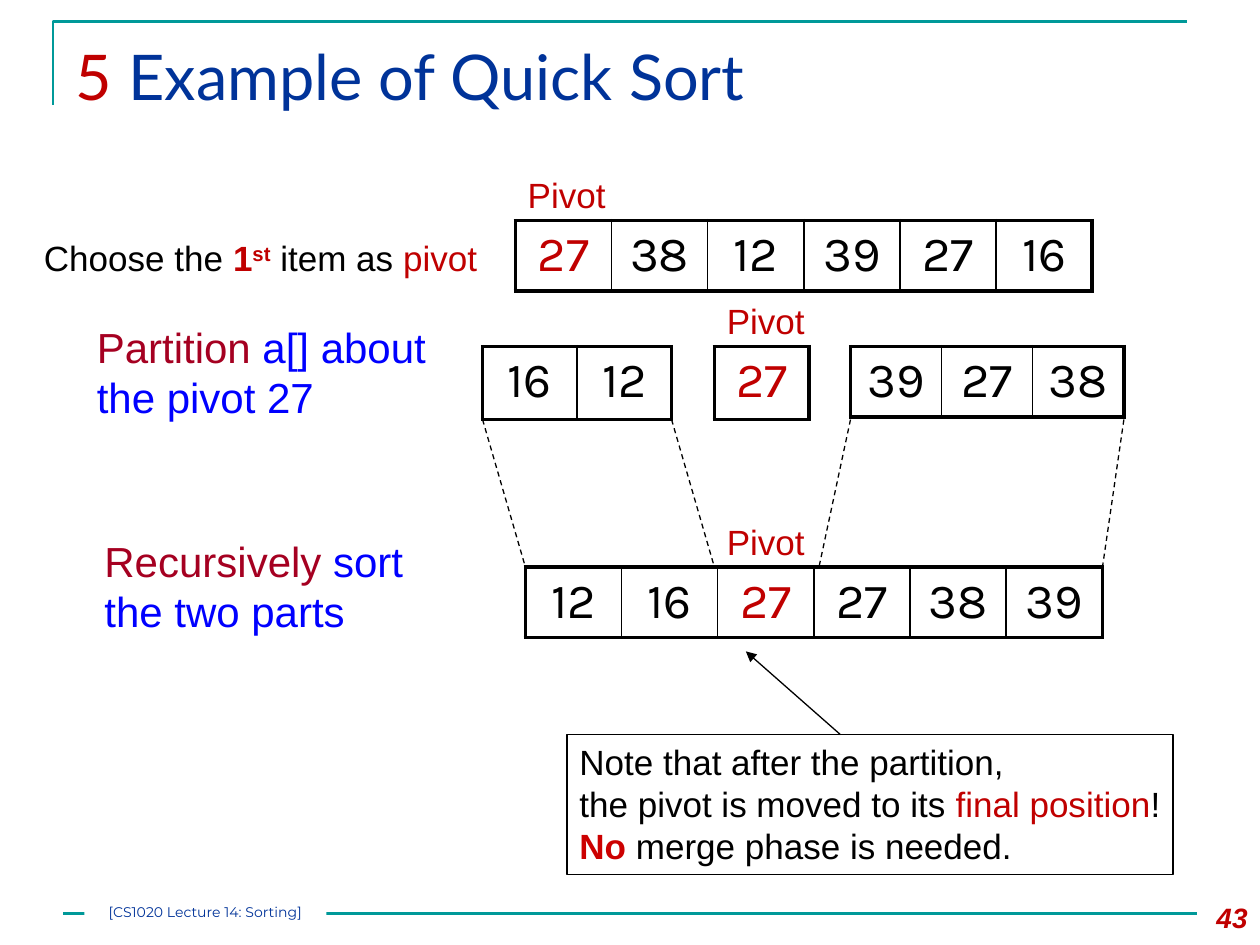
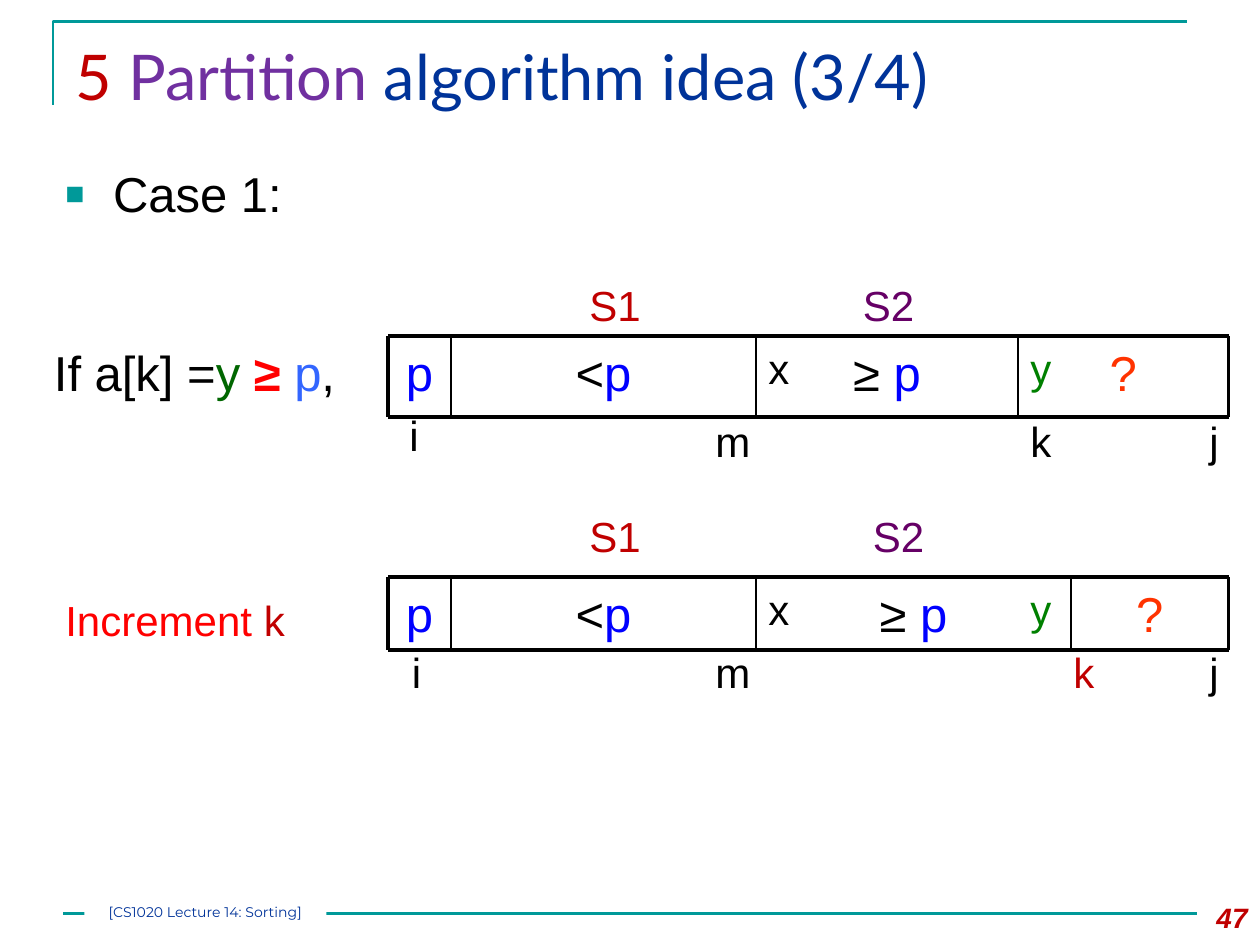
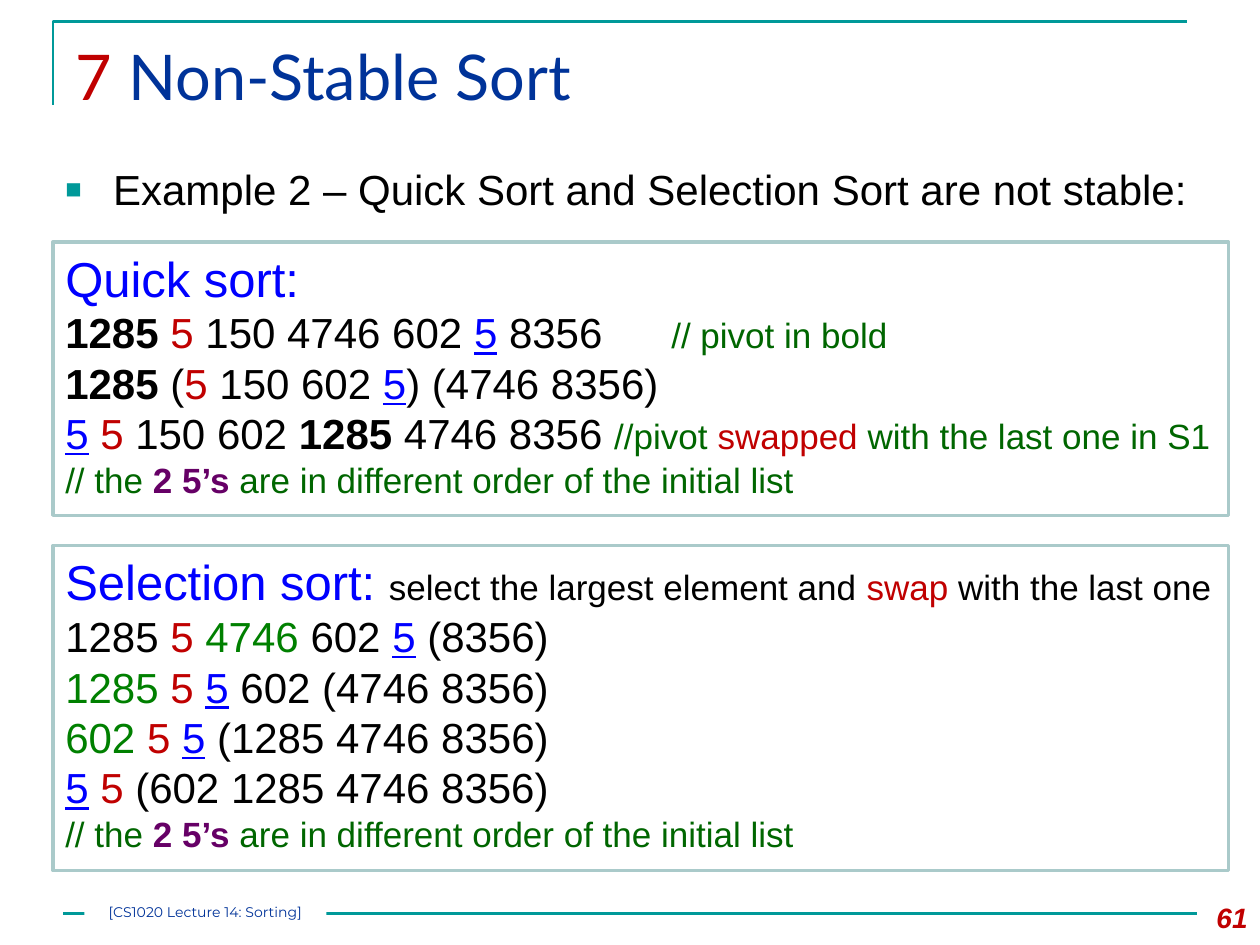
from dataclasses import dataclass
from itertools import pairwise
from typing import Any, NamedTuple

from lxml import etree
from pptx import Presentation
from pptx.dml.color import RGBColor
from pptx.enum.dml import MSO_LINE
from pptx.enum.shapes import MSO_CONNECTOR, MSO_SHAPE
from pptx.enum.text import MSO_ANCHOR, MSO_AUTO_SIZE, PP_ALIGN
from pptx.oxml import parse_xml
from pptx.oxml.ns import nsdecls, qn
from pptx.util import Inches, Pt

RECT = MSO_SHAPE.RECTANGLE
STRAIGHT = MSO_CONNECTOR.STRAIGHT
DASH = MSO_LINE.DASH
TOP = MSO_ANCHOR.TOP
LEFT, MID, RIGHT = PP_ALIGN.LEFT, PP_ALIGN.CENTER, PP_ALIGN.RIGHT
GROW, FIXED = MSO_AUTO_SIZE.SHAPE_TO_FIT_TEXT, MSO_AUTO_SIZE.NONE

BLACK = RGBColor(0x00, 0x00, 0x00)
WHITE = RGBColor(0xFF, 0xFF, 0xFF)
TEAL = RGBColor(0x00, 0x99, 0x99)
MIST = RGBColor(0xAA, 0xCA, 0xCA)
NAVY = RGBColor(0x00, 0x33, 0x99)
BLUE = RGBColor(0x00, 0x00, 0xFF)
SKY = RGBColor(0x33, 0x66, 0xFF)
DARK_RED = RGBColor(0xC0, 0x00, 0x00)
WINE = RGBColor(0xA5, 0x00, 0x21)
CRIMSON = RGBColor(0xCC, 0x00, 0x00)
RED = RGBColor(0xFF, 0x00, 0x00)
ORANGE = RGBColor(0xFF, 0x33, 0x00)
VIOLET = RGBColor(0x70, 0x30, 0xA0)
PLUM = RGBColor(0x66, 0x00, 0x66)
GREEN = RGBColor(0x00, 0x80, 0x00)
PINE = RGBColor(0x00, 0x66, 0x00)

BOLD = {"bold": True}
LINED = {"underline": True}
NOTE = {"size": Pt(20)}
HEAD = {"size": Pt(28)}
NO_PAD = {"margin_left": 0, "margin_right": 0, "margin_top": 0, "margin_bottom": 0}
FOOTER = "[CS1020 Lecture 14: Sorting]"


class Run(NamedTuple):
    text: str
    color: RGBColor = BLACK
    form: dict[str, Any] = {}
    raised: bool = False


class Box(NamedTuple):
    left: float
    top: float
    width: float
    height: float

    def place(self) -> tuple:
        return tuple(Inches(value) for value in self)


class Mark(NamedTuple):
    text: str
    left: float
    top: float
    width: float
    color: RGBColor = BLACK


@dataclass
class Array:
    """A row of number cells; pivot is the index of the red one."""
    box: Box
    items: list[int]
    pivot: int = -1


@dataclass
class Strip:
    """A partitioned array whose unknown part starts at cut."""
    top: float
    height: float
    cut: float
    marks: list[Mark]


Para = list[Run]


def apply(target: Any, form: dict[str, Any]) -> None:
    for name, value in form.items():
        setattr(target, name, value)


def write(frame: Any, paras: list[Para], size: float, font: str = "Arial",
          align: Any = LEFT) -> None:
    for index, runs in enumerate(paras):
        para = frame.add_paragraph() if index else frame.paragraphs[0]
        para.alignment = align
        for part in runs:
            run = para.add_run()
            run.text = part.text
            apply(run.font, {"name": font, "size": Pt(size), "bold": False} | part.form)
            run.font.color.rgb = part.color
            if part.raised:
                run.font._element.set("baseline", "30000")


def add_text(shapes: Any, box: Box, paras: list[Para], size: float,
             align: Any = LEFT, wrap: bool = True) -> Any:
    frame = shapes.add_textbox(*box.place()).text_frame
    apply(frame, {"word_wrap": wrap, "auto_size": FIXED if wrap else GROW,
                  "vertical_anchor": TOP})
    write(frame, paras, size, align=align)
    return frame


def add_panel(shapes: Any, box: Box, fill: RGBColor | None = WHITE,
              line: RGBColor | None = None, width: float = 2) -> Any:
    shape = shapes.add_shape(RECT, *box.place())
    shape.shadow.inherit = False
    if fill is None:
        shape.fill.background()
    else:
        shape.fill.solid()
        shape.fill.fore_color.rgb = fill
    if line is None:
        shape.line.fill.background()
    else:
        shape.line.color.rgb = line
        shape.line.width = Pt(width)
    apply(shape.text_frame, {"word_wrap": True, "vertical_anchor": TOP})
    return shape.text_frame


def add_line(shapes: Any, start: tuple[float, float], end: tuple[float, float],
             width: float, color: RGBColor = BLACK, dash: Any = None,
             arrow: bool = False) -> None:
    line = shapes.add_connector(STRAIGHT, *map(Inches, start + end))
    line.line.color.rgb = color
    line.line.width = Pt(width)
    if dash:
        line.line.dash_style = dash
    props = line._element.spPr
    if arrow:
        tip = etree.SubElement(props.find(qn("a:ln")), qn("a:tailEnd"))
        tip.set("type", "triangle")
    etree.SubElement(props, qn("a:effectLst"))


def add_point(shapes: Any, text: str, size: float) -> None:
    """Add the one bulleted line under the title."""
    frame = add_text(shapes, Box(0.42, 1.25, 9.33, 0.67), [[Run(text)]], size)
    props = frame.paragraphs[0]._p.get_or_add_pPr()
    props.set("marL", str(Inches(0.38)))
    props.set("indent", str(-Inches(0.38)))
    for xml in (f'<a:buClr {nsdecls("a")}><a:srgbClr val="{TEAL}"/></a:buClr>',
                f'<a:buSzPct {nsdecls("a")} val="65000"/>',
                f'<a:buFont {nsdecls("a")} typeface="Arial"/>',
                f'<a:buChar {nsdecls("a")} char="■"/>'):
        props.append(parse_xml(xml))


def add_tab(para: Any, place: float) -> None:
    para._p.get_or_add_pPr().append(parse_xml(
        f'<a:tabLst {nsdecls("a")}><a:tab pos="{Inches(place)}" algn="l"/></a:tabLst>'))


def add_border(cell: Any, side: str, width: float) -> None:
    cell._tc.get_or_add_tcPr().append(parse_xml(
        f'<a:ln{side} {nsdecls("a")} w="{Pt(width)}"><a:solidFill>'
        f'<a:srgbClr val="{BLACK}"/></a:solidFill></a:ln{side}>'))


def add_array(shapes: Any, array: Array) -> None:
    count = len(array.items)
    table = shapes.add_table(1, count, *array.box.place()).table
    apply(table, {"first_row": False, "horz_banding": False})
    table.rows[0].height = Inches(array.box.height)
    for index, item in enumerate(array.items):
        table.columns[index].width = Inches(array.box.width / count)
        cell = table.cell(0, index)
        add_border(cell, "L", 2.25 if index == 0 else 1)
        add_border(cell, "R", 2.25 if index == count - 1 else 1)
        add_border(cell, "T", 2.25)
        add_border(cell, "B", 2.25)
        cell.fill.background()
        color = DARK_RED if index == array.pivot else BLACK
        write(cell.text_frame, [[Run(str(item), color)]], 28, "Karla", MID)


def add_strip(shapes: Any, strip: Strip) -> None:
    low = strip.top + strip.height
    edges = [3.08, 3.58, 6, strip.cut, 9.75]
    parts = [[Run("p", BLUE)], [Run("<"), Run("p", BLUE)],
             [Run("≥ "), Run("p", BLUE)], [Run("?", ORANGE)]]
    for (left, right), runs in zip(pairwise(edges), parts):
        add_text(shapes, Box(left, strip.top, right - left, strip.height), [runs], 28, MID)
    for level in (strip.top, low):
        add_line(shapes, (edges[0], level), (edges[-1], level), 2.25)
    for edge in edges:
        width = 2.25 if edge in (edges[0], edges[-1]) else 1
        add_line(shapes, (edge, strip.top), (edge, low), width)
    shared = [Mark("x", 6, strip.top, 0.37), Mark("y", 8.08, strip.top, 0.37, GREEN)]
    for mark in shared + strip.marks:
        add_text(shapes, Box(mark.left, mark.top, mark.width, 0.5),
                 [[Run(mark.text, mark.color)]], 24, wrap=False)


def add_slide(deck: Any, title: Para, number: int) -> Any:
    """Add a slide with its title, corner rule, footer and number."""
    slide = deck.slides.add_slide(deck.slide_layouts[5])
    shapes = slide.shapes
    corner = shapes.build_freeform(Inches(0.42), Inches(0.83))
    corner.add_line_segments([(Inches(0.42), Inches(0.17)),
                              (Inches(9.42), Inches(0.17))], close=False)
    rule = corner.convert_to_shape()
    rule.shadow.inherit = False
    rule.fill.background()
    rule.line.color.rgb = TEAL
    rule.line.width = Pt(1.5)
    add_line(shapes, (0.5, 7.25), (9.5, 7.25), 1.5, TEAL)

    head = shapes.title
    spot = Box(0.5, 0.25, 9, 1).place()
    apply(head, dict(zip(("left", "top", "width", "height"), spot)))
    apply(head.text_frame, {"vertical_anchor": TOP, "auto_size": FIXED})
    write(head.text_frame, [title], 36, "Lato")

    form = BOLD | {"italic": True}
    add_text(shapes, Box(9.33, 7.1, 0.67, 0.4), [[Run(str(number), DARK_RED, form)]],
             16, RIGHT)
    frame = add_panel(shapes, Box(0.67, 7.17, 1.92, 0.17))
    apply(frame, NO_PAD)
    write(frame, [[Run(FOOTER, NAVY)]], 8, "Montserrat", MID)
    return shapes


def quick_slide(deck: Any) -> None:
    shapes = add_slide(deck, [Run("5 ", DARK_RED), Run("Example of Quick Sort", NAVY)], 43)
    for array in (Array(Box(4.09, 1.75, 4.58, 0.56), [27, 38, 12, 39, 27, 16], 0),
                  Array(Box(3.83, 2.75, 1.5, 0.58), [16, 12]),
                  Array(Box(5.67, 2.75, 0.75, 0.58), [27], 0),
                  Array(Box(6.75, 2.75, 2.17, 0.56), [39, 27, 38]),
                  Array(Box(4.17, 4.5, 4.58, 0.56), [12, 16, 27, 27, 38, 39], 2)):
        add_array(shapes, array)
    for left, top in ((4.09, 1.33), (5.67, 2.33), (5.67, 4.08)):
        add_text(shapes, Box(left, top, 0.83, 0.44), [[Run("Pivot", DARK_RED)]], 20,
                 wrap=False)
    add_text(shapes, Box(0.25, 1.83, 3.69, 0.44),
             [[Run("Choose the "), Run("1", DARK_RED, BOLD),
               Run("st", DARK_RED, BOLD, raised=True), Run(" item as "),
               Run("pivot", DARK_RED)]], 20, wrap=False)
    add_text(shapes, Box(0.67, 2.5, 3.1, 0.9),
             [[Run("Partition", WINE), Run(" a[] about the pivot 27", BLUE)]], 24)
    add_text(shapes, Box(0.73, 4.2, 3.02, 0.9),
             [[Run("Recursively", WINE), Run(" sort the two parts", BLUE)]], 24)

    guides = shapes.add_group_shape().shapes
    for start, end in ((3.83, 4.17), (5.33, 5.67), (6.75, 6.5), (8.92, 8.75)):
        add_line(guides, (start, 3.33), (end, 4.5), 0.75, dash=DASH)

    note = shapes.add_group_shape().shapes
    frame = add_panel(note, Box(4.5, 5.83, 4.81, 1.11), None, BLACK, 0.75)
    apply(frame, {"word_wrap": False, "auto_size": GROW})
    write(frame, [[Run("Note that after the partition,")],
                  [Run("the pivot is moved to its "), Run("final position", DARK_RED),
                   Run("!")],
                  [Run("No", CRIMSON, BOLD), Run(" merge phase is needed.")]], 20)
    add_line(note, (6.67, 5.83), (5.92, 5.17), 0.75, arrow=True)


def case_slide(deck: Any) -> None:
    shapes = add_slide(deck, [Run("5 ", DARK_RED), Run("Partition", VIOLET),
                              Run(" algorithm idea (3/4)", NAVY)], 47)
    add_point(shapes, "Case 1:", 28)
    add_text(shapes, Box(0.33, 2.67, 2.75, 0.67),
             [[Run("If a[k] ="), Run("y ", PINE), Run("≥ ", RED, BOLD), Run("p", SKY),
               Run(",")]], 28)
    add_text(shapes, Box(0.42, 4.67, 1.98, 0.5),
             [[Run("Increment ", RED), Run("k", DARK_RED)]], 24, wrap=False)
    before = [Mark("i", 3.15, 3.2, 0.28), Mark("m", 5.58, 3.25, 0.48),
              Mark("k", 8.08, 3.25, 0.37), Mark("j", 9.5, 3.25, 0.3),
              Mark("S1", 4.58, 2.17, 0.61, DARK_RED), Mark("S2", 6.75, 2.17, 0.61, PLUM)]
    after = [Mark("i", 3.17, 5.08, 0.28), Mark("m", 5.58, 5.08, 0.48),
             Mark("k", 8.42, 5.08, 0.37, DARK_RED), Mark("j", 9.5, 5.08, 0.3),
             Mark("S1", 4.58, 4, 0.61, DARK_RED), Mark("S2", 6.83, 4, 0.61, PLUM)]
    for strip in (Strip(2.67, 0.64, 8.08, before), Strip(4.58, 0.58, 8.5, after)):
        add_strip(shapes.add_group_shape().shapes, strip)


def stable_slide(deck: Any) -> None:
    shapes = add_slide(deck, [Run("7 ", DARK_RED), Run("Non-Stable Sort", NAVY)], 61)
    add_point(shapes, "Example 2 – Quick Sort and Selection Sort are not stable:", 24)
    first, last = Run("5", DARK_RED), Run("5", BLUE, LINED)
    pivot, gap = Run("1285", BLACK, BOLD), Run(" ")
    ending = [Run("// the ", PINE, NOTE), Run("2 5’s ", PLUM, NOTE | BOLD),
              Run("are in different order of the initial list", PINE, NOTE)]
    quick = [
        [Run("Quick sort:", BLUE, HEAD)],
        [pivot, gap, first, Run(" 150 4746 602 "), last, Run(" 8356\t"),
         Run("// pivot in bold", PINE, NOTE)],
        [pivot, Run(" ("), first, Run(" 150 602 "), last, Run(") (4746 8356)")],
        [last, gap, first, Run(" 150 602 "), pivot, Run(" 4746 8356 "),
         Run("//pivot ", PINE, NOTE), Run("swapped", DARK_RED, NOTE),
         Run(" with the last one in S1", PINE, NOTE)],
        ending]
    select = [
        [Run("Selection sort: ", BLUE, HEAD),
         Run("select the largest element and ", BLACK, NOTE),
         Run("swap", DARK_RED, NOTE), Run(" with the last one", BLACK, NOTE)],
        [Run("1285 "), first, gap, Run("4746", GREEN), Run(" 602 "), last, Run(" (8356)")],
        [Run("1285 ", GREEN), first, gap, last, Run(" 602 (4746 8356)")],
        [Run("602 ", GREEN), first, gap, last, Run(" (1285 4746 8356)")],
        [last, gap, first, Run(" (602 1285 4746 8356)")],
        ending]
    for top, height, paras in ((1.92, 2.17, quick), (4.33, 2.58, select)):
        frame = add_panel(shapes, Box(0.42, top, 9.33, height), line=MIST)
        write(frame, paras, 24)
        if paras is quick:
            add_tab(frame.paragraphs[1], 4.81)


def main() -> None:
    deck = Presentation()
    deck.slide_width, deck.slide_height = Inches(10), Inches(7.5)
    quick_slide(deck)
    case_slide(deck)
    stable_slide(deck)
    deck.save("out.pptx")


if __name__ == "__main__":
    main()
